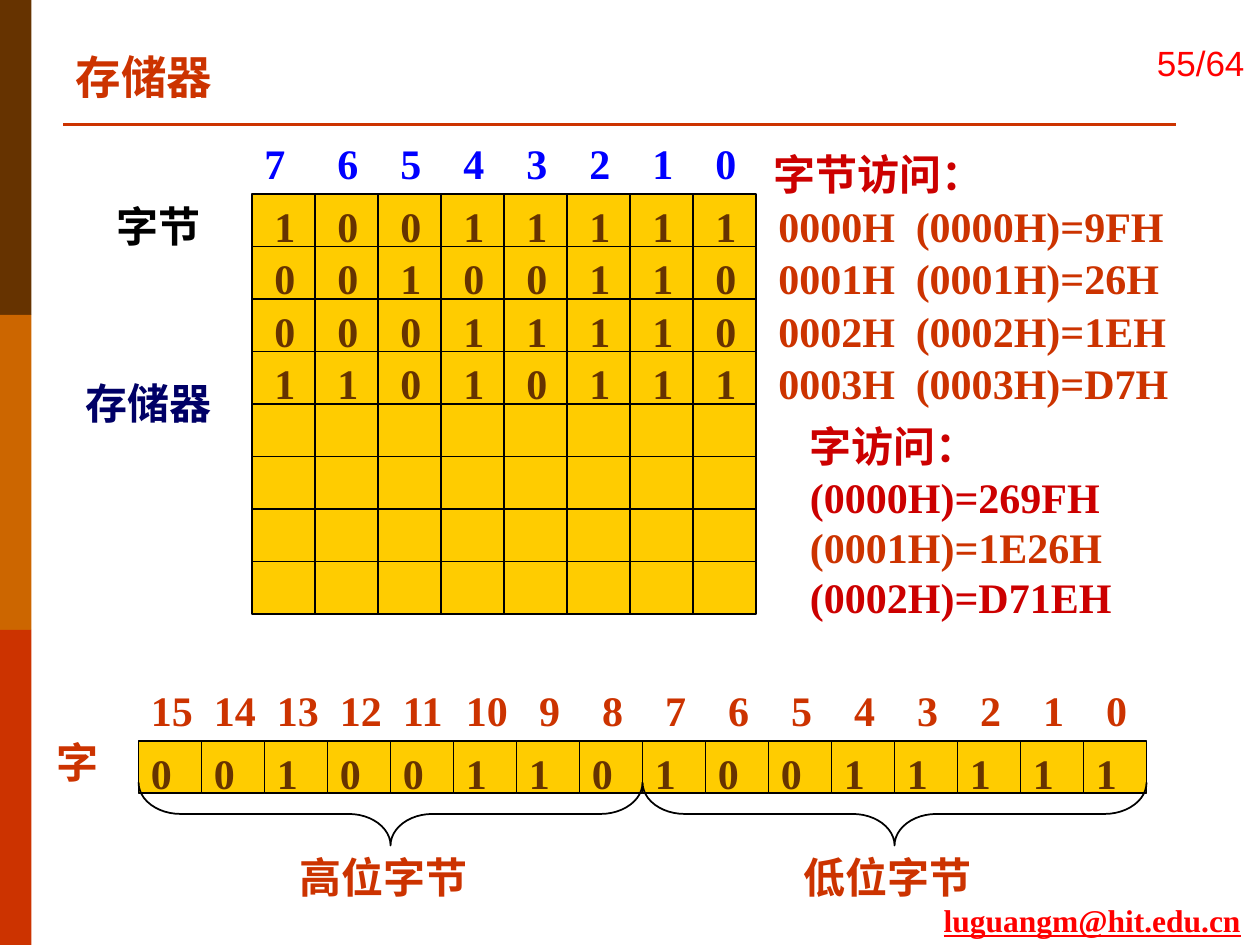
from lxml.etree import SubElement
from pptx import Presentation
from pptx.dml.color import RGBColor
from pptx.enum.shapes import MSO_CONNECTOR, MSO_SHAPE
from pptx.enum.text import MSO_ANCHOR, MSO_AUTO_SIZE, PP_ALIGN
from pptx.oxml.ns import qn
from pptx.util import Inches, Pt

COLORS = {
    "brown": "663300", "orange": "CC6600", "rust": "CC3300", "cell": "FFCC00",
    "black": "000000", "blue": "0000FF", "navy": "000066", "crimson": "CC0000",
    "red": "FF0000",
}
CELL_WIDTH = 0.5
ROW_PITCH = 5 / 12
BYTE_TABS = [CELL_WIDTH * column for column in range(1, 8)]
MEMORY_ROWS = [
    ("10011111", "0000H", "9FH"), ("00100110", "0001H", "26H"),
    ("00011110", "0002H", "1EH"), ("11010111", "0003H", "D7H"),
]


def color(name):
    """Return the named colour."""
    return RGBColor.from_string(COLORS[name])


def set_tabs(paragraph, positions):
    """Give a paragraph left tab stops at the positions in inches."""
    tab_list = SubElement(paragraph._p.get_or_add_pPr(), qn("a:tabLst"))
    for position in positions:
        SubElement(tab_list, qn("a:tab"), pos=str(Inches(position)), algn="l")


def write(shape, lines, size=24, tabs=(), anchor=MSO_ANCHOR.TOP,
          align=PP_ALIGN.LEFT, **overrides):
    """Fill a shape with lines, each a list of (text, colour) runs."""
    frame = shape.text_frame
    frame_format = {"word_wrap": True, "auto_size": MSO_AUTO_SIZE.NONE,
                    "vertical_anchor": anchor}
    for name, value in frame_format.items():
        setattr(frame, name, value)
    font_format = {"name": "Times New Roman", "size": Pt(size), "bold": True,
                   **overrides}
    for index, line in enumerate(lines):
        paragraph = frame.add_paragraph() if index else frame.paragraphs[0]
        paragraph.alignment = align
        if tabs:
            set_tabs(paragraph, tabs)
        for text, color_name in line:
            run = paragraph.add_run()
            run.text = text
            run.font.color.rgb = color(color_name)
            for name, value in font_format.items():
                setattr(run.font, name, value)


def add_text(slide, box, lines, **options):
    """Add a text box; box is left, top, width, height in inches."""
    write(slide.shapes.add_textbox(*map(Inches, box)), lines, **options)


def add_box(slide, box, fill, outlined=True):
    """Add a filled rectangle, with a thin black outline if wanted."""
    shape = slide.shapes.add_shape(MSO_SHAPE.RECTANGLE, *map(Inches, box))
    shape.shadow.inherit = False
    shape.fill.solid()
    shape.fill.fore_color.rgb = color(fill)
    if outlined:
        shape.line.color.rgb = color("black")
        shape.line.width = Pt(1)
    else:
        shape.line.fill.background()


def add_cells(slide, left, top, rows, columns):
    """Draw a grid of bit cells from its top left corner."""
    for row in range(rows):
        for column in range(columns):
            add_box(slide, (left + column * CELL_WIDTH, top + row * ROW_PITCH,
                            CELL_WIDTH, ROW_PITCH), "cell")


def add_frame(slide):
    """Draw the side bands, title rule, page number and address."""
    for index, fill in enumerate(("brown", "orange", "rust")):
        add_box(slide, (0, 2.5 * index, 0.25, 2.5), fill, outlined=False)
    rule = slide.shapes.add_connector(
        MSO_CONNECTOR.STRAIGHT, *map(Inches, (0.5, 0.99, 9.33, 0.99)))
    rule.line.color.rgb = color("rust")
    rule.line.width = Pt(1.5)
    SubElement(rule._element.spPr, qn("a:effectLst"))
    add_text(slide, (9.06, 0.01, 0.94, 0.98), [[("55/64", "red")]], size=20,
             name="Arial", bold=False, anchor=MSO_ANCHOR.MIDDLE,
             align=PP_ALIGN.CENTER)
    add_text(slide, (7.39, 7.1, 2.61, 0.4), [[("luguangm@hit.edu.cn", "red")]],
             size=18, underline=True)


def add_title(slide, box, text):
    """Place and format the title placeholder."""
    title = slide.shapes.title
    title.left, title.top, title.width, title.height = map(Inches, box)
    write(title, [[(text, "rust")]], size=26)


def add_memory(slide, left, top):
    """Draw the memory grid with bit numbers, contents and addresses."""
    add_cells(slide, left, top, 8, 8)
    header_tabs = [0.08 + position for position in BYTE_TABS]
    add_text(slide, (left, top - 0.5, 4.2, 0.5),
             [[("\t".join("76543210"), "blue")]], tabs=header_tabs)
    for index, (bits, address, value) in enumerate(MEMORY_ROWS):
        add_text(slide, (left + 0.08, top + index * ROW_PITCH, 7.6, 0.5),
                 [[("\t".join(bits) + "\t", "brown"),
                   (f"{address}\t({address})={value}", "rust")]],
                 tabs=BYTE_TABS + [4, 5.09])
    add_text(slide, (0.83, top, 1, 0.5), [[("字节", "black")]])
    add_text(slide, (0.58, 2.95, 1.3, 0.5), [[("存储器", "navy")]])


def add_access_notes(slide, left, top):
    """Write the byte access heading and the word access list."""
    add_text(slide, (left, top, 2, 0.5), [[("字节访问：", "crimson")]])
    add_text(slide, (left + 0.29, top + 2.16, 2.8, 1.72), [
        [("字访问：", "crimson")], [("(0000H)=269FH", "crimson")],
        [("(0001H)=1E26H", "rust")], [("(0002H)=D71EH", "crimson")]])


def add_byte(slide, left, top, bits, label):
    """Draw one byte of the word with its brace and label."""
    add_cells(slide, left, top, 1, 8)
    brace = slide.shapes.add_shape(
        MSO_SHAPE.LEFT_BRACE,
        *map(Inches, (left + 1.75, top - 1.42, 0.5, 4)))
    brace.rotation = 270
    brace.adjustments[0] = 0.667
    brace.shadow.inherit = False
    brace.fill.background()
    brace.line.color.rgb = color("black")
    brace.line.width = Pt(1)
    add_text(slide, (left, top, 4, 0.5), [[("\t".join(bits), "brown")]],
             tabs=BYTE_TABS)
    add_text(slide, (left + 1.18, top + 0.83, 1.7, 0.5), [[(label, "rust")]])


def add_word(slide, left, top):
    """Draw the sixteen-bit word as a high and a low byte."""
    tabs = BYTE_TABS[:5] + [3.08 + CELL_WIDTH * column for column in range(10)]
    numbers = "\t".join(str(bit) for bit in range(15, -1, -1))
    add_text(slide, (left, top - 0.5, 8.3, 0.5), [[(numbers, "rust")]],
             tabs=tabs)
    add_text(slide, (0.35, top - 0.08, 0.6, 0.5), [[("字", "rust")]])
    add_byte(slide, left, top, "00100110", "高位字节")
    add_byte(slide, left + 4, top, "10011111", "低位字节")


def main():
    """Build and save the memory slide."""
    presentation = Presentation()
    presentation.slide_width = Inches(10)
    presentation.slide_height = Inches(7.5)
    slide = presentation.slides.add_slide(presentation.slide_layouts[5])
    add_frame(slide)
    add_title(slide, (0.5, 0.34, 5.81, 0.54), "存储器")
    add_memory(slide, 2, 1.54)
    add_access_notes(slide, 6.04, 1.13)
    add_word(slide, 1.1, 5.88)
    presentation.save("out.pptx")


if __name__ == "__main__":
    main()
